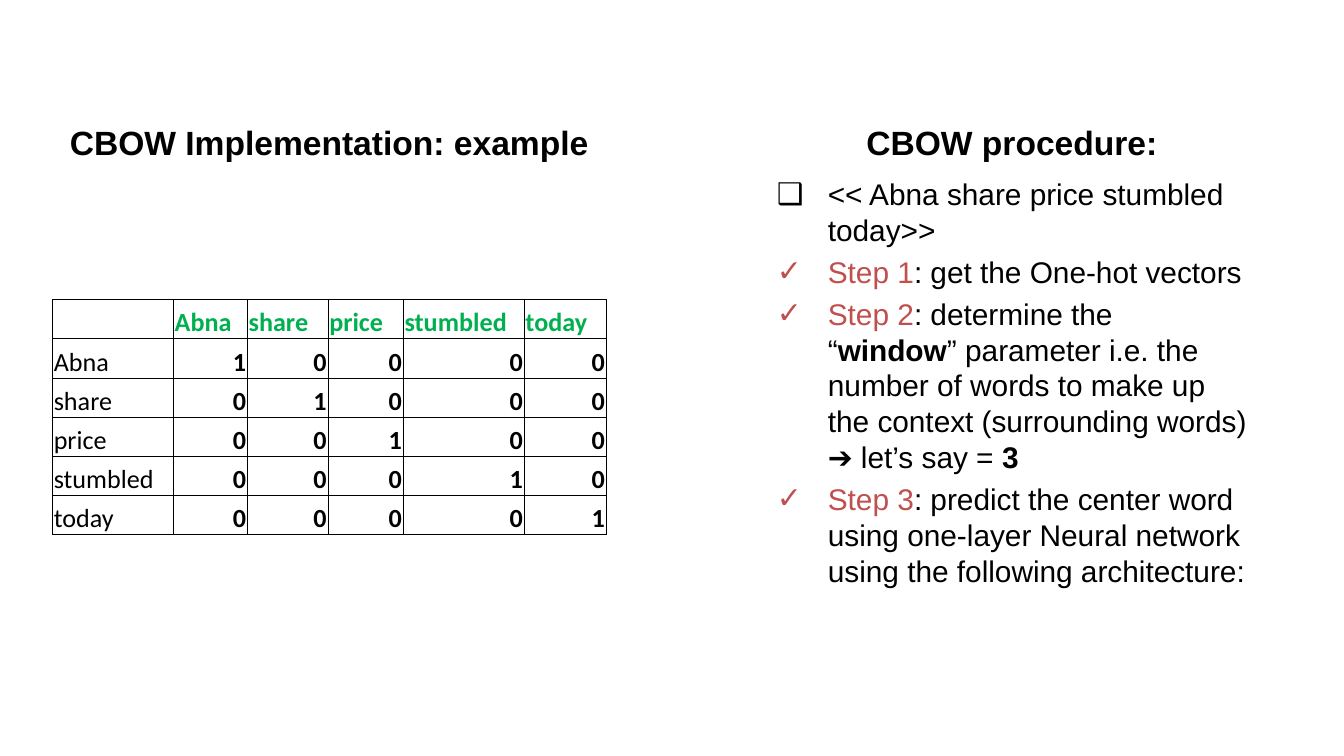
from lxml.etree import SubElement
from pptx import Presentation
from pptx.dml.color import RGBColor
from pptx.enum.text import MSO_ANCHOR, MSO_AUTO_SIZE, PP_ALIGN
from pptx.oxml.ns import qn
from pptx.util import Inches, Pt

BLACK = RGBColor(0x00, 0x00, 0x00)
GREEN = RGBColor(0x00, 0xB0, 0x50)
RED = RGBColor(0xC0, 0x50, 0x4D)

WORDS = ["Abna", "share", "price", "stumbled", "today"]
COLS = [0.9, 0.55, 0.6, 0.56, 0.9, 0.61]
ROW = 1.75 / 6

# Each step: bullet, then runs of (text, colour, bold)
STEPS = [
    ("❑", [("<< Abna share price stumbled today>>", BLACK, False)]),
    ("✓", [("Step 1", RED, False),
           (": get the One-hot vectors", BLACK, False)]),
    ("✓", [("Step 2", RED, False),
           (": determine the “", BLACK, False),
           ("window", BLACK, True),
           ("” parameter i.e. the number of words to make up the context "
            "(surrounding words) ➔ let’s say = ", BLACK, False),
           ("3", BLACK, True)]),
    ("✓", [("Step 3", RED, False),
           (": predict the center word using one-layer Neural network "
            "using the following architecture:", BLACK, False)]),
]


class Deck:
    font = "Arial"
    grid_font = "Calibri"
    head_size = 18
    list_size = 16
    grid_size = 14
    indent = 0.38

    def __init__(self, wide):
        self.prs = Presentation()
        self.prs.slide_width = Inches(wide)
        self.prs.slide_height = Inches(wide * 9 / 16)
        self.slide = self.prs.slides.add_slide(self.prs.slide_layouts[4])

    def run(self, para, text, font, size, color, bold):
        run = para.add_run()
        run.text = text
        run.font.name = font
        run.font.size = Pt(size)
        run.font.color.rgb = color
        run.font.bold = bold

    def place(self, idx, box):
        holder = self.slide.placeholders[idx]
        holder.left, holder.top, holder.width, holder.height = map(Inches, box)
        frame = holder.text_frame
        frame.word_wrap = True
        frame.auto_size = MSO_AUTO_SIZE.NONE
        return frame

    def head(self, idx, box, text):
        frame = self.place(idx, box)
        frame.vertical_anchor = MSO_ANCHOR.BOTTOM
        para = frame.paragraphs[0]
        para.alignment = PP_ALIGN.CENTER
        self.run(para, text, self.font, self.head_size, BLACK, True)

    def steps(self, idx, box, items):
        frame = self.place(idx, box)
        for i, (mark, runs) in enumerate(items):
            para = frame.add_paragraph() if i else frame.paragraphs[0]
            props = para._p.get_or_add_pPr()
            props.set("marL", str(Inches(self.indent)))
            props.set("indent", str(-Inches(self.indent)))
            SubElement(props, qn("a:buFont"), typeface=self.font)
            SubElement(props, qn("a:buChar"), char=mark)
            for text, color, bold in runs:
                self.run(para, text, self.font, self.list_size, color, bold)

    def border(self, cell):
        props = cell._tc.get_or_add_tcPr()
        for side in ("L", "R", "T", "B"):
            line = SubElement(props, qn(f"a:ln{side}"), w=str(Pt(0.5)))
            fill = SubElement(line, qn("a:solidFill"))
            SubElement(fill, qn("a:srgbClr"), val=str(BLACK))

    def cell(self, cell, text, color, bold, align):
        cell.margin_left = cell.margin_right = cell.margin_top = Inches(0.01)
        cell.margin_bottom = 0
        cell.vertical_anchor = MSO_ANCHOR.BOTTOM
        self.border(cell)
        cell.fill.background()
        para = cell.text_frame.paragraphs[0]
        para.alignment = align
        if text:
            self.run(para, text, self.grid_font, self.grid_size, color, bold)
        else:
            SubElement(para._p, qn("a:endParaRPr"),
                       sz=str(self.grid_size * 100))

    def grid(self, left, top, words):
        size = len(words) + 1
        table = self.slide.shapes.add_table(
            size, size, Inches(left), Inches(top),
            Inches(sum(COLS)), Inches(ROW * size)).table
        table.first_row = table.horz_banding = False
        for col, wide in zip(table.columns, COLS):
            col.width = Inches(wide)
        for row in table.rows:
            row.height = Inches(ROW)
        # Word labels on both edges, ones on the diagonal
        for i, label in enumerate([""] + words):
            self.cell(table.cell(0, i), label, GREEN, True, PP_ALIGN.LEFT)
            if i:
                self.cell(table.cell(i, 0), label, BLACK, False, PP_ALIGN.LEFT)
                for j in range(1, size):
                    self.cell(table.cell(i, j), str(int(i == j)),
                              BLACK, True, PP_ALIGN.RIGHT)

    def save(self):
        # Drop placeholders left empty
        for holder in list(self.slide.placeholders):
            if not holder.text_frame.text:
                holder._element.getparent().remove(holder._element)
        self.prs.save("out.pptx")


def main():
    deck = Deck(10)
    # Right side: procedure
    deck.steps(4, (5.68, 1.26, 3.7, 3.7), STEPS)
    deck.head(3, (5.68, 0.58, 3.7, 0.68), "CBOW procedure:")
    # Left side: one-hot vectors
    deck.head(1, (0.39, 0.58, 4.12, 0.68), "CBOW Implementation: example")
    deck.grid(0.39, 2.23, WORDS)
    deck.save()


if __name__ == "__main__":
    main()
